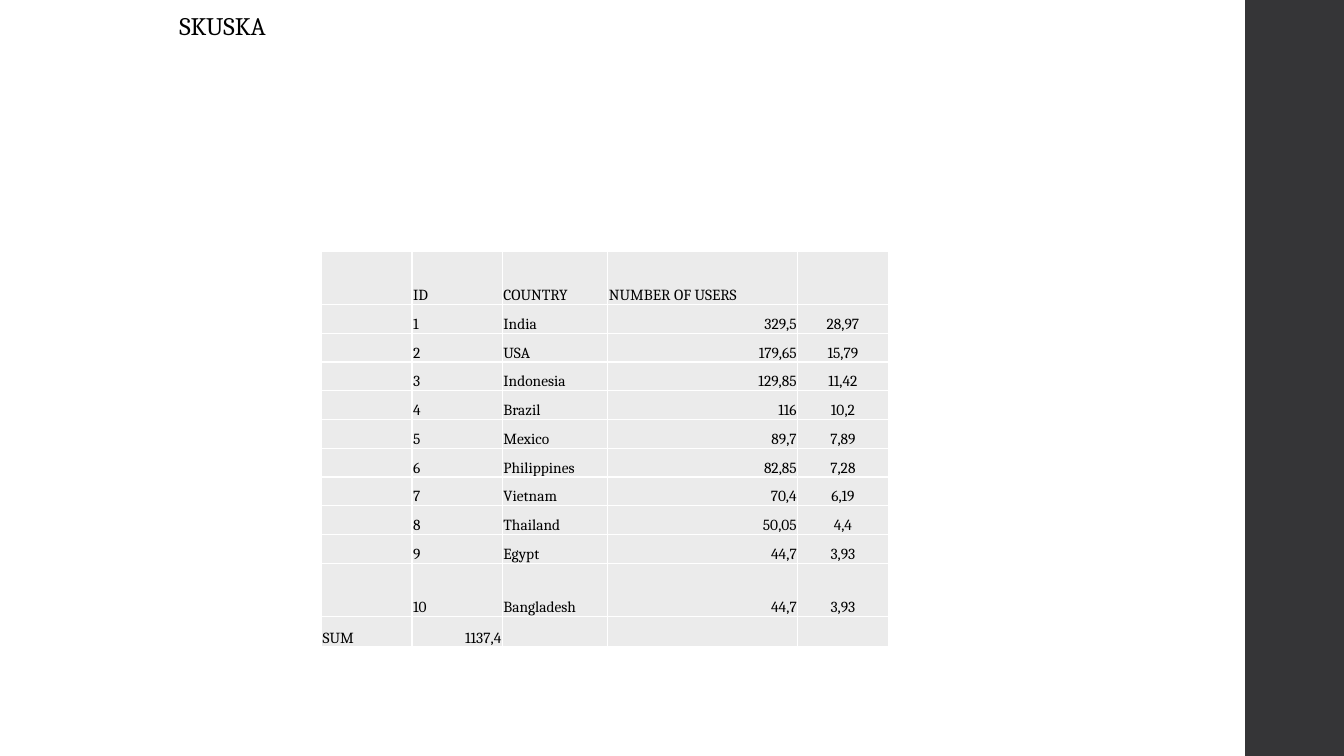
from lxml import etree
from pptx import Presentation
from pptx.dml.color import RGBColor
from pptx.enum.shapes import MSO_SHAPE
from pptx.enum.text import MSO_ANCHOR, PP_ALIGN
from pptx.oxml.ns import qn
from pptx.util import Inches, Pt

RECTANGLE = MSO_SHAPE.RECTANGLE
BOTTOM = MSO_ANCHOR.BOTTOM
LEFT, CENTER, RIGHT = PP_ALIGN.LEFT, PP_ALIGN.CENTER, PP_ALIGN.RIGHT

SLIDE_WIDTH, SLIDE_HEIGHT = 13.33, 7.5
FONT = "Cambria"
TABLE_SIZE = 11
COLORS = {"text": "000000", "band": "353537", "cell": "EBEBEB", "border": "FFFFFF"}

COLUMN_WIDTHS = [0.9, 0.9, 1.05, 1.89, 0.9]
HEADER_HEIGHT, LAST_COUNTRY_HEIGHT, SUM_HEIGHT = 0.53, 0.53, 0.3
HEADER = ["", "ID", "COUNTRY", "NUMBER OF USERS", ""]
COUNTRIES = [
    ("India", "329,5", "28,97"),
    ("USA", "179,65", "15,79"),
    ("Indonesia", "129,85", "11,42"),
    ("Brazil", "116", "10,2"),
    ("Mexico", "89,7", "7,89"),
    ("Philippines", "82,85", "7,28"),
    ("Vietnam", "70,4", "6,19"),
    ("Thailand", "50,05", "4,4"),
    ("Egypt", "44,7", "3,93"),
    ("Bangladesh", "44,7", "3,93"),
]
SUM = ["SUM", "1137,4", "", "", ""]
HEADER_ALIGNMENTS = [LEFT] * 5
COUNTRY_ALIGNMENTS = [LEFT, LEFT, LEFT, RIGHT, CENTER]
SUM_ALIGNMENTS = [LEFT, RIGHT, LEFT, LEFT, LEFT]


def color(name):
    return RGBColor.from_string(COLORS[name])


def add_run(paragraph, text, size):
    run = paragraph.add_run()
    run.text = text
    run.font.name = FONT
    run.font.size = Pt(size)
    run.font.color.rgb = color("text")


def add_side_band(slide, left, top, width, height):
    band = slide.shapes.add_shape(
        RECTANGLE, Inches(left), Inches(top), Inches(width), Inches(height))
    band.shadow.inherit = False
    band.fill.solid()
    band.fill.fore_color.rgb = color("band")
    band.line.fill.background()


def add_title(slide, left, top, width, height):
    title = slide.shapes.add_textbox(
        Inches(left), Inches(top), Inches(width), Inches(height))
    title.text_frame.word_wrap = True
    add_run(title.text_frame.paragraphs[0], "SKUSKA", 18)


def add_borders(cell):
    properties = cell._tc.get_or_add_tcPr()
    for side in ("a:lnL", "a:lnR", "a:lnT", "a:lnB"):
        line = etree.SubElement(properties, qn(side), w=str(Pt(1)))
        fill = etree.SubElement(line, qn("a:solidFill"))
        etree.SubElement(fill, qn("a:srgbClr"), val=COLORS["border"])


def fill_cell(cell, text, alignment):
    add_borders(cell)
    cell.fill.solid()
    cell.fill.fore_color.rgb = color("cell")
    cell.vertical_anchor = BOTTOM
    cell.margin_left = cell.margin_right = cell.margin_top = Inches(0.01)
    cell.margin_bottom = 0
    paragraph = cell.text_frame.paragraphs[0]
    paragraph.alignment = alignment
    if text:
        add_run(paragraph, text, TABLE_SIZE)
    else:
        # Keeps the default 18 pt of an empty cell from stretching its row
        etree.SubElement(paragraph._p, qn("a:endParaRPr"), sz=str(TABLE_SIZE * 100))


def add_users_table(slide, left, top, width, height):
    """Rows of equal height take what the header, last country and sum rows leave."""
    rows = [(HEADER, HEADER_ALIGNMENTS)]
    rows += [(["", str(number), *country], COUNTRY_ALIGNMENTS)
             for number, country in enumerate(COUNTRIES, 1)]
    rows.append((SUM, SUM_ALIGNMENTS))

    equal_rows = len(COUNTRIES) - 1
    equal_height = (height - HEADER_HEIGHT - LAST_COUNTRY_HEIGHT - SUM_HEIGHT) / equal_rows
    row_heights = [HEADER_HEIGHT, *[equal_height] * equal_rows,
                   LAST_COUNTRY_HEIGHT, SUM_HEIGHT]

    table = slide.shapes.add_table(
        len(rows), len(COLUMN_WIDTHS),
        Inches(left), Inches(top), Inches(width), Inches(height)).table
    table.first_row = table.horz_banding = False
    for column, share in zip(table.columns, COLUMN_WIDTHS):
        column.width = Inches(width * share / sum(COLUMN_WIDTHS))
    for row, row_height, (texts, alignments) in zip(table.rows, row_heights, rows):
        row.height = Inches(row_height)
        for cell, text, alignment in zip(row.cells, texts, alignments):
            fill_cell(cell, text, alignment)


def main():
    presentation = Presentation()
    presentation.slide_width = Inches(SLIDE_WIDTH)
    presentation.slide_height = Inches(SLIDE_HEIGHT)
    slide = presentation.slides.add_slide(presentation.slide_layouts[6])
    add_side_band(slide, 12.35, 0, SLIDE_WIDTH - 12.35, SLIDE_HEIGHT)
    add_title(slide, 1.68, 0.05, 10.03, 0.4)
    add_users_table(slide, 3.19, 2.49, 5.62, 3.93)
    presentation.save("out.pptx")


if __name__ == "__main__":
    main()
